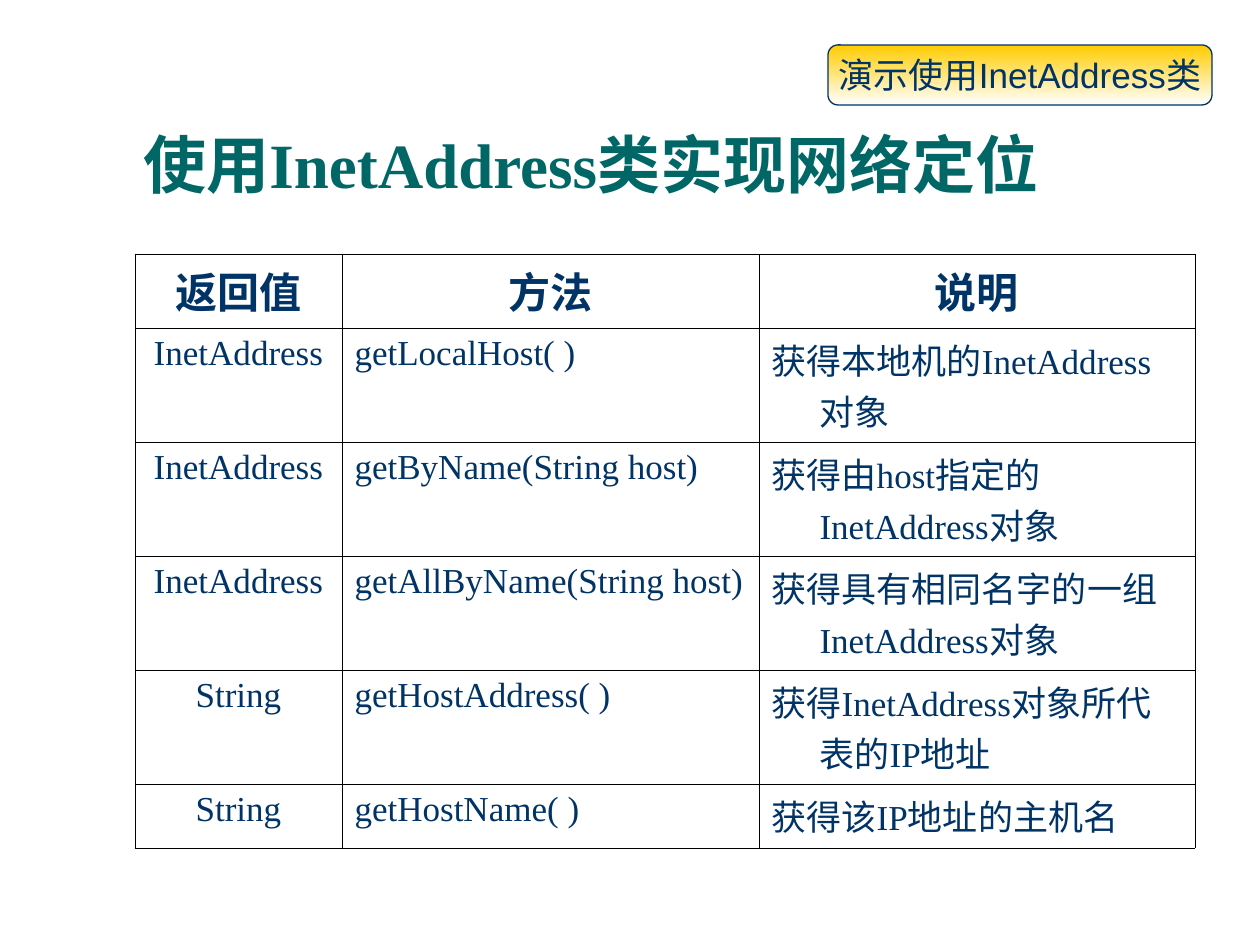
from lxml import etree
from pptx import Presentation, util as u
from pptx.dml.color import RGBColor
from pptx.enum import shapes, text
from pptx.oxml.ns import qn

COLORS = {"title": "006666", "ink": "003366", "gold": "FFCC00",
          "white": "FFFFFF", "rule": "000000"}
SERIF, SANS = "Times New Roman", "Arial"
HANGING = 48

HEADINGS = ["返回值", "方法", "说明"]
METHODS = [
    ["InetAddress", "getLocalHost( )", "获得本地机的InetAddress对象"],
    ["InetAddress", "getByName(String host)", "获得由host指定的InetAddress对象"],
    ["InetAddress", "getAllByName(String host)", "获得具有相同名字的一组InetAddress对象"],
    ["String", "getHostAddress( )", "获得InetAddress对象所代表的IP地址"],
    ["String", "getHostName( )", "获得该IP地址的主机名"],
]
COLUMN_WIDTHS = [207, 417, 436]
ROW_HEIGHTS = [74, 114, 114, 114, 114, 64]


def px(length):
    return u.Emu(round(length * 914400 / 126))


def rgb(name):
    return RGBColor.from_string(COLORS[name])


def write(frame, wording, size=20, font=SERIF, color="ink", bold=False,
          centered=False, spacing=None, hanging=0):
    paragraph = frame.paragraphs[0]
    paragraph.alignment = text.PP_ALIGN.CENTER if centered else text.PP_ALIGN.LEFT
    if spacing:
        paragraph.line_spacing = spacing
    if hanging:
        properties = paragraph._p.get_or_add_pPr()
        properties.set("marL", str(px(hanging)))
        properties.set("indent", str(-px(hanging)))
    run = paragraph.add_run()
    run.text = wording
    run.font.size = u.Pt(size)
    run.font.name = font
    run.font.bold = bold
    run.font.color.rgb = rgb(color)


def rule_cell(cell, width=0.45):
    """Draw the four borders, which must come before the fill in the XML."""
    properties = cell._tc.get_or_add_tcPr()
    for position, side in enumerate(("lnL", "lnR", "lnT", "lnB")):
        border = etree.Element(qn(f"a:{side}"), w=str(u.Pt(width)))
        fill = etree.SubElement(border, qn("a:solidFill"))
        etree.SubElement(fill, qn("a:srgbClr"), val=COLORS["rule"])
        properties.insert(position, border)


def add_title(slide, left, top, width, height):
    title = slide.shapes.add_textbox(px(left), px(top), px(width), px(height))
    frame = title.text_frame
    frame.word_wrap = True
    frame.vertical_anchor = text.MSO_ANCHOR.BOTTOM
    write(frame, "使用InetAddress类实现网络定位", size=36, color="title",
          bold=True, spacing=0.9)


def add_method_table(slide, left, top):
    rows = [HEADINGS] + METHODS
    methods = slide.shapes.add_table(
        len(rows), len(HEADINGS), px(left), px(top),
        px(sum(COLUMN_WIDTHS)), px(sum(ROW_HEIGHTS))).table
    for column, width in zip(methods.columns, COLUMN_WIDTHS):
        column.width = px(width)
    for row, height in zip(methods.rows, ROW_HEIGHTS):
        row.height = px(height)

    for r, row in enumerate(rows):
        heading = r == 0
        for c, wording in enumerate(row):
            cell = methods.cell(r, c)
            cell.fill.background()
            rule_cell(cell)
            write(cell.text_frame, wording, size=24 if heading else 20,
                  bold=heading, centered=heading or c == 0, hanging=HANGING)


def add_demo_button(slide, left, top, width, height):
    button = slide.shapes.add_shape(
        shapes.MSO_SHAPE.ROUNDED_RECTANGLE, px(left), px(top), px(width), px(height))
    button.shadow.inherit = False
    button.line.color.rgb = rgb("ink")
    button.line.width = u.Pt(0.75)

    # Gold at the top fading to white at the bottom
    button.fill.gradient()
    button.fill.gradient_angle = 270
    for stop, color in zip(button.fill.gradient_stops, ("gold", "white")):
        stop.color.rgb = rgb(color)

    frame = button.text_frame
    frame.word_wrap = False
    frame.vertical_anchor = text.MSO_ANCHOR.MIDDLE
    write(frame, "演示使用InetAddress类", font=SANS, centered=True)


def main():
    deck = Presentation()
    deck.slide_width, deck.slide_height = px(1260), px(945)
    slide = deck.slides.add_slide(deck.slide_layouts[6])
    add_title(slide, 131, 112, 1060, 96)
    add_method_table(slide, 135, 254)
    add_demo_button(slide, 828, 45, 384, 60)
    deck.save("out.pptx")


if __name__ == "__main__":
    main()
